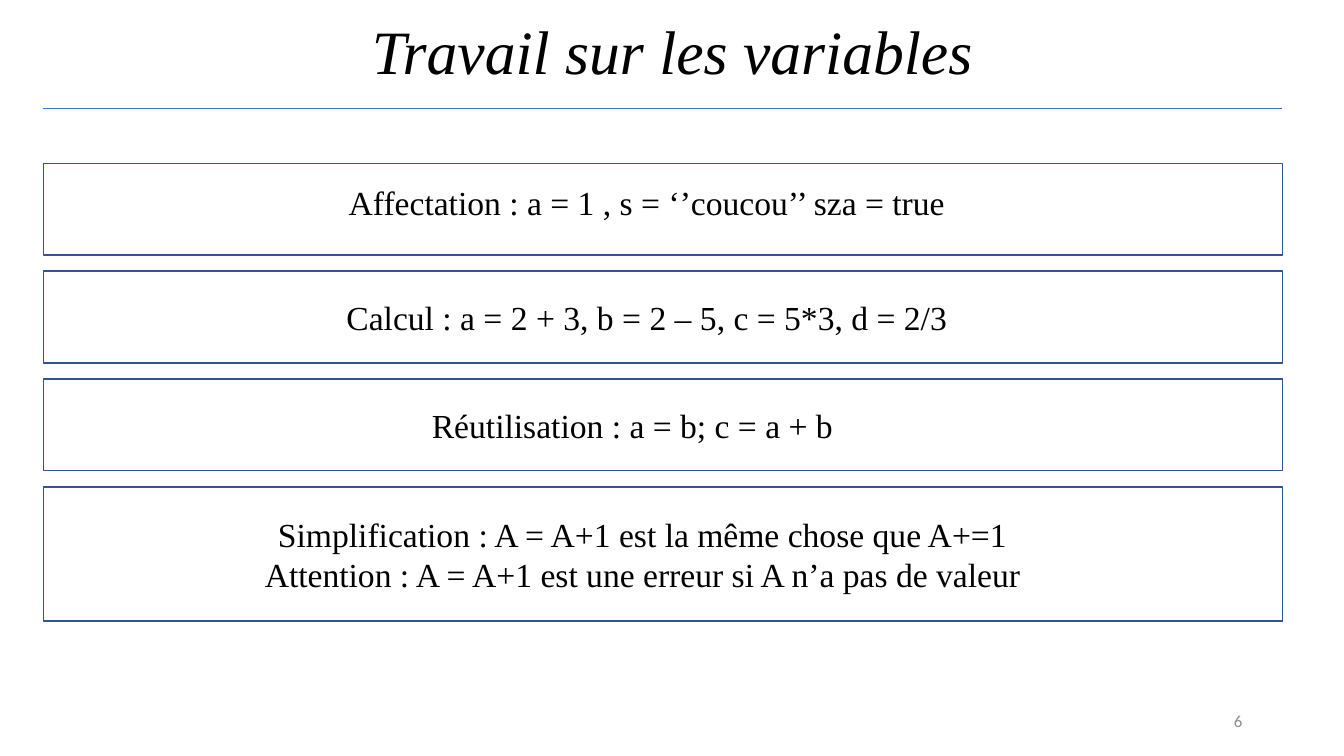
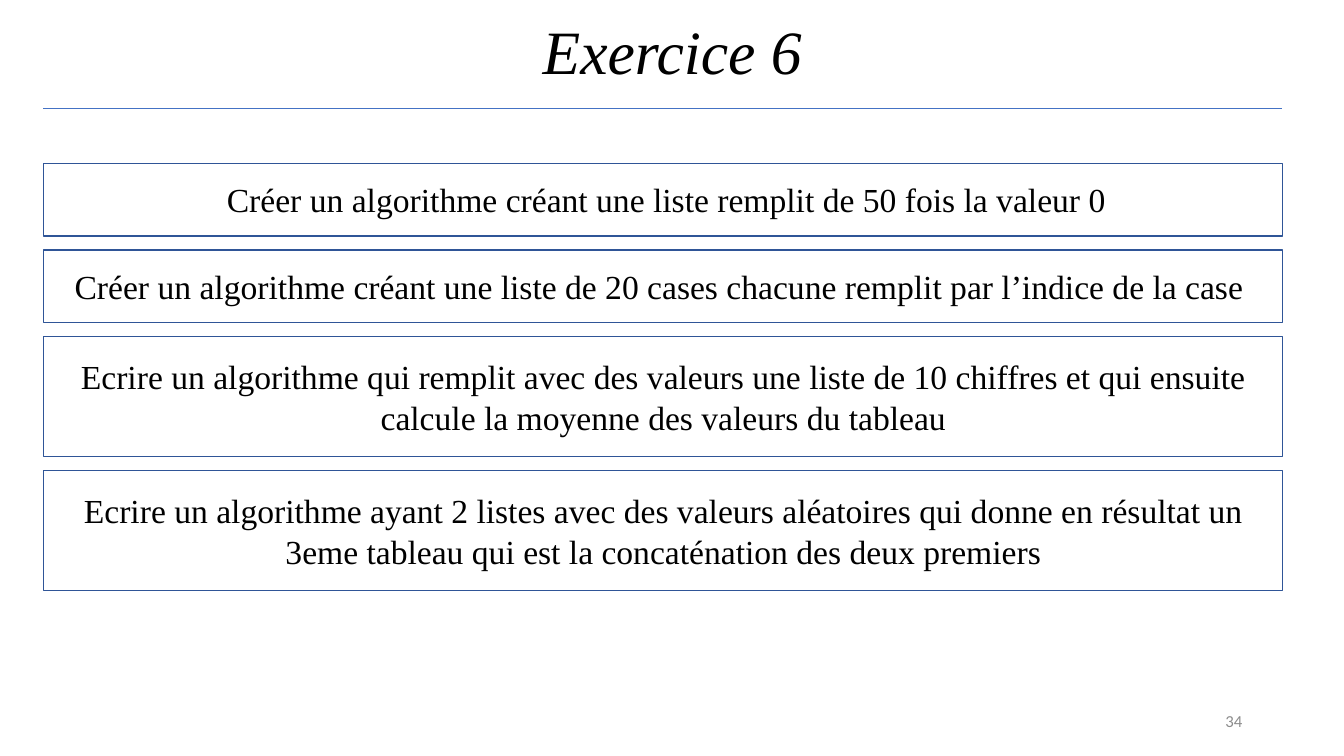
from dataclasses import dataclass

from lxml.etree import SubElement
from pptx import Presentation
from pptx.dml.color import RGBColor
from pptx.enum.shapes import MSO_CONNECTOR, MSO_SHAPE
from pptx.enum.text import MSO_ANCHOR, PP_ALIGN
from pptx.oxml.ns import qn
from pptx.util import Inches, Pt

BLACK = RGBColor(0x00, 0x00, 0x00)
GREY = RGBColor(0x8C, 0x8C, 0x8C)
BLUE = RGBColor(0x44, 0x72, 0xC4)
DARK_BLUE = RGBColor(0x2F, 0x55, 0x97)
TEXT_FONT = "Times New Roman"
NUMBER_FONT = "Calibri"

MARGIN = 0.43
CONTENT_WIDTH = 12.29
RULE_TOP = 1.08
PANELS_TOP = 1.62
TITLE_ONLY_LAYOUT = 5


@dataclass
class Panel:
    text: str
    height: float
    lines: int = 1
    indent: float = 0.15
    rise: float = 0  # how far the text sits above the panel's middle


VARIABLES = [
    Panel("Affectation : a = 1 , s = ‘’coucou’’ sza = true", 0.91, indent=0.18, rise=0.07),
    Panel("Calcul : a = 2 + 3, b = 2 – 5, c = 5*3, d = 2/3", 0.91, indent=0.18),
    Panel("Réutilisation : a = b; c = a + b ", 0.91, indent=0.08),
    Panel("Simplification : A = A+1 est la même chose que A+=1 \n"
          "Attention : A = A+1 est une erreur si A n’a pas de valeur ",
          1.33, lines=2, indent=0.18),
]
EXERCISE = [
    Panel("Créer un algorithme créant une liste remplit de 50 fois la valeur 0",
          0.72, indent=0.18),
    Panel("Créer un algorithme créant une liste de 20 cases chacune remplit "
          "par l’indice de la case ", 0.72),
    Panel("Ecrire un algorithme qui remplit avec des valeurs une liste de 10 chiffres "
          "et qui ensuite calcule la moyenne des valeurs du tableau", 1.19, lines=2),
    Panel("Ecrire un algorithme ayant 2 listes avec des valeurs aléatoires qui donne en "
          "résultat un 3eme tableau qui est la concaténation des deux premiers",
          1.19, lines=2),
]


def write_text(shape, text, size, font=TEXT_FONT, color=BLACK,
               align=PP_ALIGN.CENTER, anchor=MSO_ANCHOR.TOP, italic=None):
    frame = shape.text_frame
    frame.word_wrap = True
    frame.vertical_anchor = anchor
    frame.text = text
    for paragraph in frame.paragraphs:
        paragraph.alignment = align
        for run in paragraph.runs:
            run.font.name = font
            run.font.size = Pt(size)
            run.font.italic = italic
            run.font.color.rgb = color


def add_title(slide, text):
    title = slide.shapes.title
    title.left, title.top = Inches(0.92), Inches(-0.18)
    title.width, title.height = Inches(11.5), Inches(1.45)
    write_text(title, text, 44, anchor=MSO_ANCHOR.MIDDLE, italic=True)
    title.text_frame.paragraphs[0].line_spacing = 0.9


def add_title_rule(slide):
    rule = slide.shapes.add_connector(
        MSO_CONNECTOR.STRAIGHT, Inches(MARGIN), Inches(RULE_TOP),
        Inches(MARGIN + CONTENT_WIDTH), Inches(RULE_TOP))
    rule.line.color.rgb = BLUE
    rule.line.width = Pt(0.5)
    SubElement(rule._element.spPr, qn("a:effectLst"))


def add_slide_number(slide, number):
    box = slide.shapes.add_textbox(Inches(9.42), Inches(6.95), Inches(3), Inches(0.4))
    write_text(box, str(number), 12, NUMBER_FONT, GREY, PP_ALIGN.RIGHT, MSO_ANCHOR.MIDDLE)


def add_panel(slide, panel, left, top, text_width):
    frame = slide.shapes.add_shape(
        MSO_SHAPE.RECTANGLE, Inches(left), Inches(top),
        Inches(CONTENT_WIDTH), Inches(panel.height))
    frame.shadow.inherit = False
    frame.fill.background()
    frame.line.color.rgb = DARK_BLUE
    frame.line.width = Pt(1)

    text_height = 0.1 + 0.4 * panel.lines
    text_top = top + (panel.height - text_height) / 2 - panel.rise
    box = slide.shapes.add_textbox(
        Inches(left + panel.indent), Inches(text_top),
        Inches(text_width), Inches(text_height))
    write_text(box, panel.text, 24)


def add_panel_slide(presentation, title, number, panels, gap, text_width):
    slide = presentation.slides.add_slide(presentation.slide_layouts[TITLE_ONLY_LAYOUT])
    add_title(slide, title)
    add_slide_number(slide, number)
    add_title_rule(slide)
    top = PANELS_TOP
    for panel in panels:
        add_panel(slide, panel, MARGIN, top, text_width)
        top += panel.height + gap


def main():
    presentation = Presentation()
    presentation.slide_width = Inches(13.33)
    presentation.slide_height = Inches(7.5)
    add_panel_slide(presentation, "Travail sur les variables", 6, VARIABLES,
                    gap=0.16, text_width=11.61)
    add_panel_slide(presentation, "Exercice 6", 34, EXERCISE, gap=0.14, text_width=12)
    presentation.save("out.pptx")


if __name__ == "__main__":
    main()
